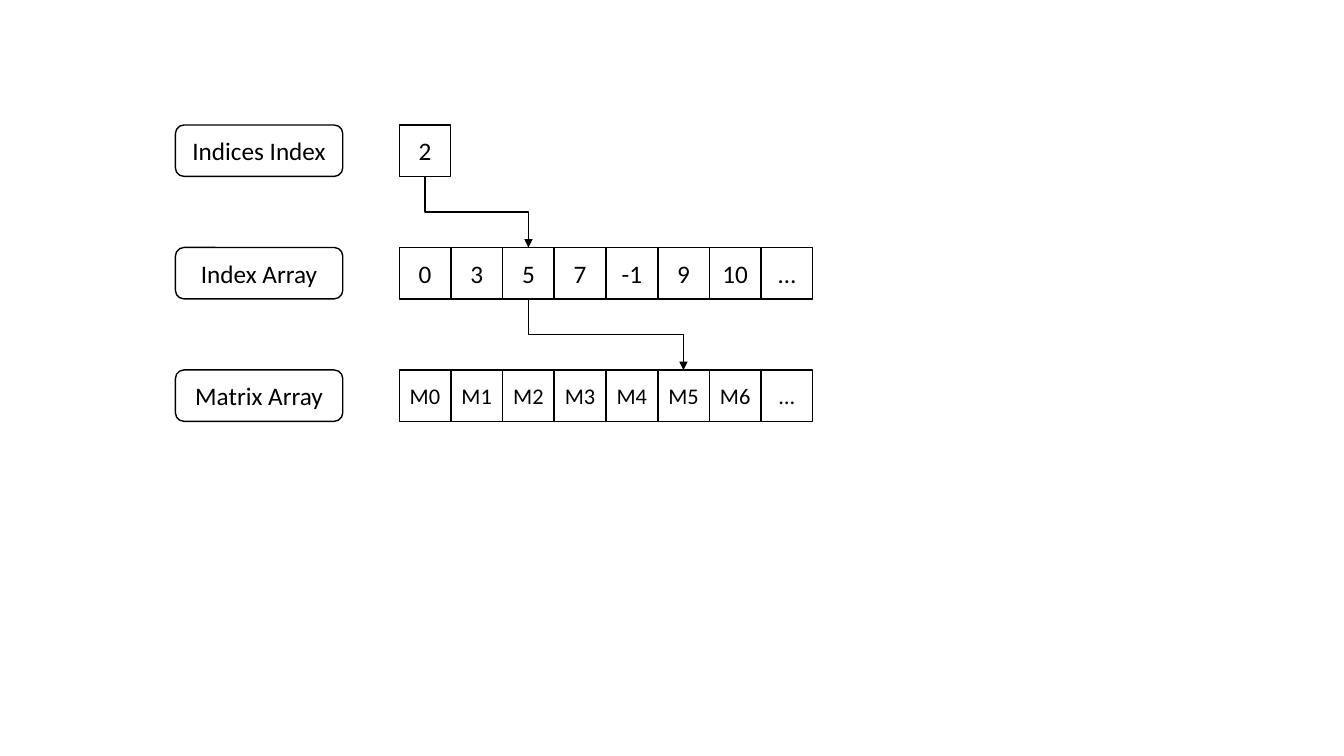
from dataclasses import dataclass

from lxml import etree
from pptx import Presentation
from pptx import util as u
from pptx.dml.color import RGBColor
from pptx.enum import shapes, text
from pptx.oxml import ns
from pptx.shapes.autoshape import Shape
from pptx.shapes.connector import Connector
from pptx.slide import Slide

COLORS = {"fill": "FFFFFF", "ink": "000000"}
FONT = "Calibri"
LABEL_LEFT = 1.74
LABEL_WIDTH = 1.66
CELL_LEFT = 3.96
CELL_SIZE = 0.51
CELL_STEP = (7.55 - CELL_LEFT) / 7
ROW_TOP = 1.24
ROW_STEP = (3.67 - ROW_TOP) / 2
BOTTOM_SITE = 2
TOP_SITE = 0


@dataclass(frozen=True)
class ArrayRow:
    label: str
    values: tuple[str, ...]
    cell_points: int = 18


@dataclass(frozen=True)
class Lookup:
    from_row: int
    from_column: int
    to_row: int
    to_column: int


ROWS = (
    ArrayRow("Indices Index", ("2",)),
    ArrayRow("Index Array", ("0", "3", "5", "7", "-1", "9", "10", "…")),
    ArrayRow("Matrix Array", (*(f"M{number}" for number in range(7)), "…"), 16),
)
LOOKUPS = (Lookup(0, 0, 1, 2), Lookup(1, 2, 2, 5))


def color(name: str) -> RGBColor:
    return RGBColor.from_string(COLORS[name])


def add_box(slide: Slide, kind: shapes.MSO_SHAPE, left: float, top: float,
            width: float, caption: str, points: int) -> Shape:
    shape = slide.shapes.add_shape(
        kind, u.Inches(left), u.Inches(top), u.Inches(width), u.Inches(CELL_SIZE))
    shape.shadow.inherit = False
    shape.fill.solid()
    shape.fill.fore_color.rgb = color("fill")
    shape.line.color.rgb = color("ink")
    shape.line.width = u.Pt(1)
    frame = shape.text_frame
    frame.margin_left = frame.margin_right = u.Inches(0)
    frame.vertical_anchor = text.MSO_ANCHOR.MIDDLE
    frame.text = caption
    paragraph = frame.paragraphs[0]
    paragraph.alignment = text.PP_ALIGN.CENTER
    font = paragraph.runs[0].font
    font.name = FONT
    font.size = u.Pt(points)
    font.color.rgb = color("ink")
    return shape


def add_row(slide: Slide, row: ArrayRow, top: float) -> list[Shape]:
    add_box(slide, shapes.MSO_SHAPE.ROUNDED_RECTANGLE, LABEL_LEFT, top,
            LABEL_WIDTH, row.label, 18)
    return [
        add_box(slide, shapes.MSO_SHAPE.RECTANGLE, CELL_LEFT + column * CELL_STEP,
                top, CELL_SIZE, value, row.cell_points)
        for column, value in enumerate(row.values)
    ]


def add_lookup_arrow(slide: Slide, source: Shape, target: Shape) -> Connector:
    start = u.Inches(0)
    connector = slide.shapes.add_connector(
        shapes.MSO_CONNECTOR.ELBOW, start, start, start, start)
    connector.begin_connect(source, BOTTOM_SITE)
    connector.end_connect(target, TOP_SITE)
    across = connector.end_x - connector.begin_x
    down = connector.end_y - connector.begin_y
    center_x = (connector.begin_x + connector.end_x) // 2
    center_y = (connector.begin_y + connector.end_y) // 2
    connector.left, connector.top = center_x - down // 2, center_y - across // 2
    connector.width, connector.height = down, across
    properties = connector.element.spPr
    transform = properties.find(ns.qn("a:xfrm"))
    transform.set("rot", str(270 * 60000))
    transform.set("flipH", "1")
    connector.line.color.rgb = color("ink")
    connector.line.width = u.Pt(1)
    line = properties.find(ns.qn("a:ln"))
    etree.SubElement(line, ns.qn("a:tailEnd"), type="triangle")
    etree.SubElement(properties, ns.qn("a:effectLst"))
    return connector


def main() -> None:
    presentation = Presentation()
    presentation.slide_width = u.Inches(13.33)
    presentation.slide_height = u.Inches(7.5)
    slide = presentation.slides.add_slide(presentation.slide_layouts[6])
    cells = [add_row(slide, row, ROW_TOP + index * ROW_STEP)
             for index, row in enumerate(ROWS)]
    for lookup in LOOKUPS:
        add_lookup_arrow(slide, cells[lookup.from_row][lookup.from_column],
                         cells[lookup.to_row][lookup.to_column])
    presentation.save("out.pptx")


main()
